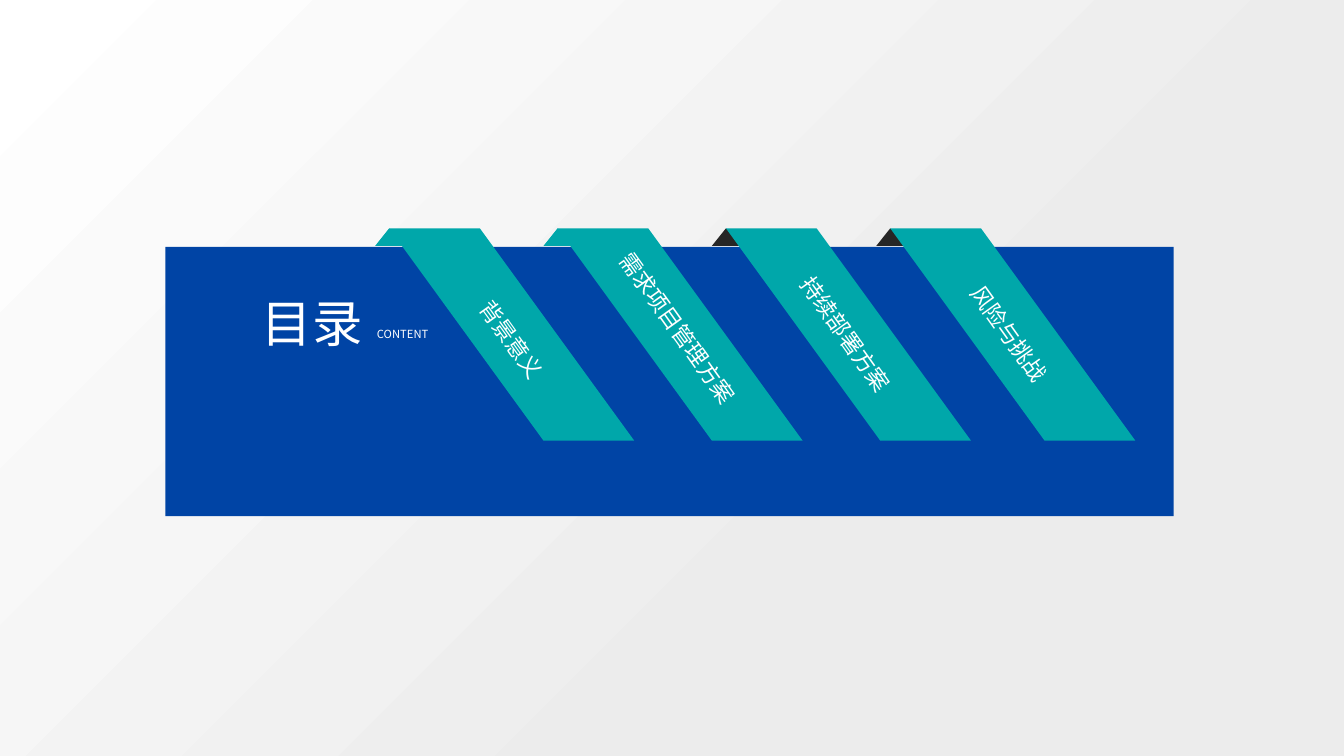
from pptx import Presentation
from pptx.dml.color import RGBColor
from pptx.enum.shapes import MSO_SHAPE
from pptx.enum.text import MSO_AUTO_SIZE
from pptx.oxml import parse_xml
from pptx.oxml.ns import qn
from pptx.util import Inches, Pt

BLUE = RGBColor(0x00, 0x44, 0xA5)
TEAL = RGBColor(0x00, 0xA7, 0xAA)
DARK = RGBColor(0x26, 0x26, 0x26)
WHITE = RGBColor(0xFF, 0xFF, 0xFF)


def add_label(shapes, text, box, size, font, wrap=False):
    label = shapes.add_textbox(*[Inches(v) for v in box])
    frame = label.text_frame
    frame.text = text
    frame.word_wrap = wrap
    frame.auto_size = MSO_AUTO_SIZE.SHAPE_TO_FIT_TEXT
    run = frame.paragraphs[0].runs[0]
    run.font.size = Pt(size)
    run.font.name = font
    run.font.color.rgb = WHITE
    east_asian = run.font._element.makeelement(qn("a:ea"), {"typeface": font})
    run.font._element.find(qn("a:latin")).addnext(east_asian)
    return label


def add_outline(shapes, points, color):
    corners = [(Inches(x), Inches(y)) for x, y in points]
    builder = shapes.build_freeform(*corners[0])
    builder.add_line_segments(corners[1:], close=True)
    outline = builder.convert_to_shape()
    outline.shadow.inherit = False
    outline.fill.solid()
    outline.fill.fore_color.rgb = color
    outline.line.fill.background()


prs = Presentation()
prs.slide_width = Inches(13.33)
prs.slide_height = Inches(7.5)
slide = prs.slides.add_slide(prs.slide_layouts[6])

background = parse_xml(
    '<p:bg xmlns:p="http://schemas.openxmlformats.org/presentationml/2006/main"'
    ' xmlns:a="http://schemas.openxmlformats.org/drawingml/2006/main"><p:bgPr>'
    '<a:gradFill rotWithShape="1"><a:gsLst>'
    '<a:gs pos="0"><a:srgbClr val="FFFFFF"/></a:gs>'
    '<a:gs pos="67000"><a:srgbClr val="ECECEC"/></a:gs>'
    '<a:gs pos="100000"><a:srgbClr val="ECECEC"/></a:gs></a:gsLst>'
    '<a:path path="circle"><a:fillToRect r="100000" b="100000"/></a:path>'
    '</a:gradFill><a:effectLst/></p:bgPr></p:bg>'
)
slide.element.cSld.insert(0, background)

banner = slide.shapes.add_shape(
    MSO_SHAPE.RECTANGLE, Inches(1.64), Inches(2.45), Inches(10), Inches(2.67)
)
banner.shadow.inherit = False
banner.fill.solid()
banner.fill.fore_color.rgb = BLUE
banner.line.fill.background()

add_label(slide.shapes, "CONTENT", (3.64, 3.2, 0.74, 0.24), 8, "Noto Sans CJK SC")
add_label(slide.shapes, "目录", (2.5, 2.85, 1.28, 0.71), 36, "Noto Sans CJK JP", True)

RIBBON_TOP, FOLD_BOTTOM, RIBBON_BOTTOM = 2.265, 2.44, 4.37
TITLE_HEIGHT = 0.37
chapters = [
    ("背景意义", 3.86, TEAL, 5.08, 3.19, 1.1),
    ("需求项目管理方案", 5.53, TEAL, 6.73, 3.08, 2),
    ("持续部署方案", 7.2, DARK, 8.39, 3.14, 1.55),
    ("风险与挑战", 8.83, DARK, 10.01, 3.13, 1.32),
]
for title, left, fold_color, center, title_top, title_width in chapters:
    ribbon = slide.shapes.add_group_shape().shapes
    add_outline(
        ribbon,
        [(left, RIBBON_TOP), (left - 0.14, FOLD_BOTTOM), (left + 0.18, FOLD_BOTTOM)],
        fold_color,
    )
    add_outline(
        ribbon,
        [
            (left, RIBBON_TOP),
            (left + 1.53, RIBBON_BOTTOM),
            (left + 2.43, RIBBON_BOTTOM),
            (left + 0.9, RIBBON_TOP),
        ],
        TEAL,
    )
    title_box = (center - title_width / 2, title_top, title_width, TITLE_HEIGHT)
    add_label(ribbon, title, title_box, 16, "Arial").rotation = 54.5

prs.save("out.pptx")
